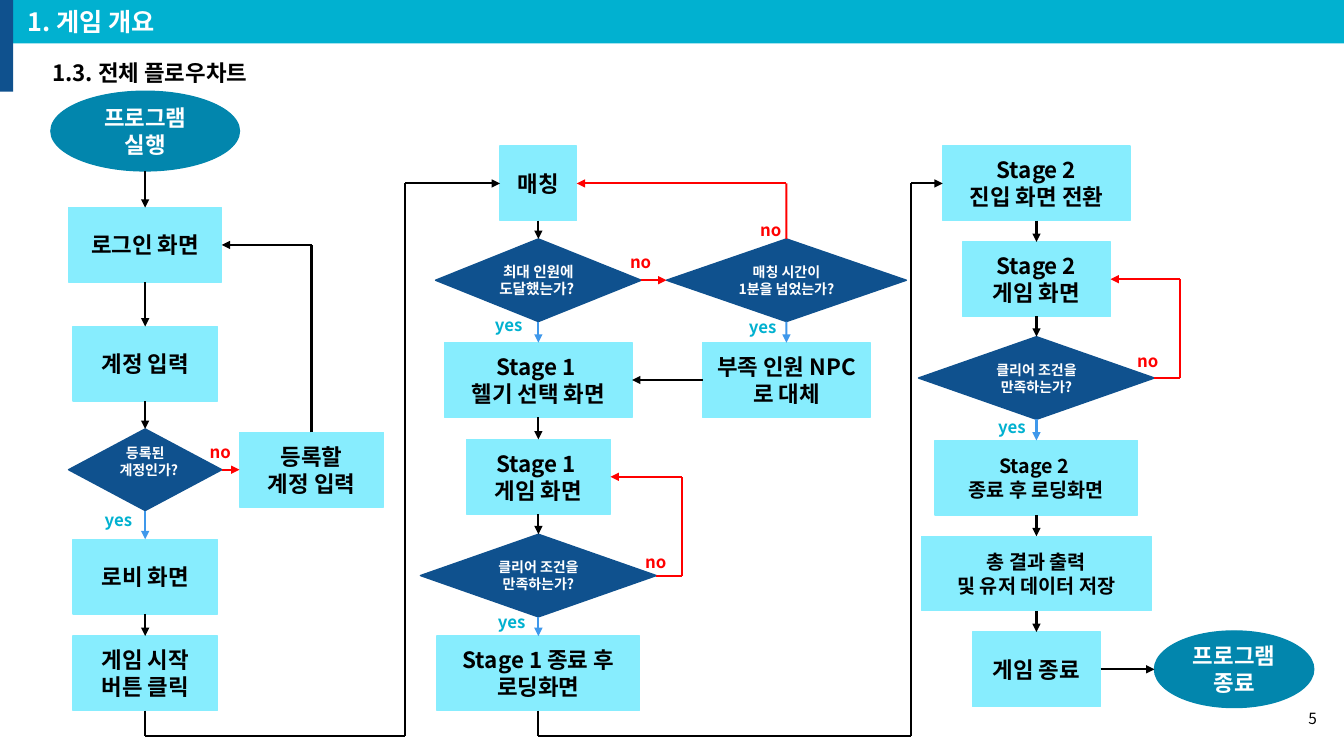
from lxml import etree
from pptx import Presentation
from pptx import util as u
from pptx.dml.color import RGBColor
from pptx.enum import shapes, text
from pptx.oxml import ns

FONT = "Noto Sans CJK KR"
NAVY = RGBColor(0x0F, 0x51, 0x8E)
CYAN = RGBColor(0x01, 0xB1, 0xD0)
TEAL = RGBColor(0x02, 0x86, 0xAD)
SKY = RGBColor(0x87, 0xED, 0xFE)
BLUE = RGBColor(0x3F, 0x98, 0xEB)
RED = RGBColor(0xFF, 0, 0)
BLACK = RGBColor(0, 0, 0)
WHITE = RGBColor(0xFF, 0xFF, 0xFF)

KINDS = {
    "step": (shapes.MSO_SHAPE.RECTANGLE, SKY, BLACK),
    "choice": (shapes.MSO_SHAPE.DIAMOND, NAVY, WHITE),
    "terminal": (shapes.MSO_SHAPE.OVAL, TEAL, WHITE),
}
ACCOUNT_X, SIGNUP_X, STAGE1_X, WAIT_X, STAGE2_X = 1.44, 3.09, 5.34, 7.8, 10.28

# name: kind, centre x, centre y, width, height, text size, lines
NODES = {
    "launch": ("terminal", ACCOUNT_X, 1.3, 1.87, 0.79, 16, ["프로그램 실행"]),
    "login": ("step", ACCOUNT_X, 2.43, 1.52, 0.74, 16, ["로그인 화면"]),
    "account": ("step", ACCOUNT_X, 3.61, 1.43, 0.74, 16, ["계정 입력"]),
    "known": ("choice", ACCOUNT_X, 4.66, 1.52, 0.81, 10, ["등록된 계정인가? "]),
    "signup": ("step", SIGNUP_X, 4.66, 1.43, 0.74, 16, ["등록할", "계정 입력"]),
    "lobby": ("step", ACCOUNT_X, 5.72, 1.43, 0.74, 16, ["로비 화면"]),
    "start": ("step", ACCOUNT_X, 6.68, 1.43, 0.74, 16, ["게임 시작", "버튼 클릭"]),
    "match": ("step", STAGE1_X, 1.82, 0.76, 0.74, 16, ["매칭"]),
    "full": ("choice", STAGE1_X, 2.78, 2.04, 0.82, 10.5, ["최대 인원에 도달했는가? "]),
    "late": ("choice", WAIT_X, 2.78, 2.38, 0.82, 10, ["매칭 시간이", "1분을 넘었는가?"]),
    "select": ("step", STAGE1_X, 3.77, 1.86, 0.74, 16, ["Stage 1 ", "헬기 선택 화면"]),
    "npc": ("step", WAIT_X, 3.77, 1.66, 0.74, 16, ["부족 인원 NPC로 대체"]),
    "play1": ("step", STAGE1_X, 4.73, 1.43, 0.74, 16, ["Stage 1 ", "게임 화면"]),
    "clear1": ("choice", STAGE1_X, 5.71, 2.34, 0.82, 10, ["클리어 조건을 만족하는가?"]),
    "load1": ("step", STAGE1_X, 6.68, 2.01, 0.74, 16, ["Stage 1 종료 후 로딩화면"]),
    "enter2": ("step", STAGE2_X, 1.82, 1.86, 0.74, 16, ["Stage 2", "진입 화면 전환"]),
    "play2": ("step", STAGE2_X, 2.77, 1.47, 0.74, 16, ["Stage 2", "게임 화면"]),
    "clear2": ("choice", STAGE2_X, 3.75, 2.34, 0.82, 10, ["클리어 조건을 만족하는가?"]),
    "load2": ("step", STAGE2_X, 4.74, 2.01, 0.74, 14, ["Stage 2 ", "종료 후 로딩화면"]),
    "result": ("step", STAGE2_X, 5.69, 2.28, 0.74, 14, ["총 결과 출력", "및 유저 데이터 저장"]),
    "end": ("step", STAGE2_X, 6.64, 1.27, 0.74, 16, ["게임 종료"]),
    "exit": ("terminal", 12.24, 6.64, 1.58, 0.76, 16, ["프로그램 종료"]),
}
TOP, LEFT, BOTTOM, RIGHT = range(4)
DOWNWARD = [
    ("launch", "login", BLACK), ("login", "account", BLACK), ("account", "known", BLACK),
    ("known", "lobby", BLUE), ("lobby", "start", BLACK), ("match", "full", BLACK),
    ("full", "select", BLUE), ("late", "npc", BLUE), ("select", "play1", BLACK),
    ("play1", "clear1", BLACK), ("clear1", "load1", BLUE), ("enter2", "play2", BLACK),
    ("play2", "clear2", BLACK), ("clear2", "load2", BLUE), ("load2", "result", BLACK),
    ("result", "end", BLACK),
]
ROUTES = [(a, BOTTOM, b, TOP, color, []) for a, b, color in DOWNWARD] + [
    ("known", RIGHT, "signup", LEFT, RED, []),
    ("full", RIGHT, "late", LEFT, RED, []),
    ("npc", LEFT, "select", RIGHT, BLACK, []),
    ("end", RIGHT, "exit", LEFT, BLACK, []),
    ("signup", TOP, "login", RIGHT, BLACK, [(SIGNUP_X, 2.43)]),
    ("late", TOP, "match", RIGHT, RED, [(WAIT_X, 1.82)]),
    ("clear1", RIGHT, "play1", RIGHT, RED, [(6.76, 5.71), (6.76, 4.73)]),
    ("clear2", RIGHT, "play2", RIGHT, RED, [(11.7, 3.75), (11.7, 2.77)]),
    ("start", BOTTOM, "match", LEFT, BLACK, [(ACCOUNT_X, 7.3), (4.02, 7.3), (4.02, 1.82)]),
    ("load1", BOTTOM, "enter2", LEFT, BLACK, [(STAGE1_X, 7.3), (9.04, 7.3), (9.04, 1.82)]),
]
ANSWERS = {
    "yes": (CYAN, [(0.94, 5.01), (4.81, 3.07), (4.84, 6.02), (7.33, 3.09), (9.8, 4.09)]),
    "no": (RED, [(1.98, 4.33), (6.15, 2.45), (7.44, 2.13), (6.3, 5.42), (11.18, 3.43)]),
}


def write(shape, lines, size, color, bold=True, align=text.PP_ALIGN.LEFT, **frame_format):
    frame = shape.text_frame
    settings = {"word_wrap": True, "auto_size": text.MSO_AUTO_SIZE.NONE,
                "vertical_anchor": text.MSO_ANCHOR.MIDDLE, **frame_format}
    for key, value in settings.items():
        setattr(frame, key, value)
    for index, line in enumerate(lines):
        para = frame.add_paragraph() if index else frame.paragraphs[0]
        para.alignment = align
        span = para.add_run()
        span.text = line
        for key, value in {"name": FONT, "size": u.Pt(size), "bold": bold}.items():
            setattr(span.font, key, value)
        span.font.color.rgb = color
        east = etree.SubElement(span.font._element, ns.qn("a:ea"))
        east.set("typeface", FONT)


def add_block(page, kind, area, fill):
    box = page.shapes.add_shape(kind, *map(u.Inches, area))
    box.shadow.inherit = False
    box.fill.solid()
    box.fill.fore_color.rgb = fill
    box.line.color.rgb = fill
    box.line.width = u.Pt(1)
    return box


def add_label(page, area, line, size, color, **settings):
    box = page.shapes.add_textbox(*map(u.Inches, area))
    write(box, [line], size, color, **settings)


def side_point(name, side):
    _, x, y, width, height, _, _ = NODES[name]
    across, down = {TOP: (0, -1), LEFT: (-1, 0), BOTTOM: (0, 1), RIGHT: (1, 0)}[side]
    return x + across * width / 2, y + down * height / 2


def add_route(page, boxes, source, source_side, target, target_side, color, corners):
    points = [side_point(source, source_side), *corners, side_point(target, target_side)]
    lines = []
    for begin, finish in zip(points, points[1:]):
        line = page.shapes.add_connector(
            shapes.MSO_CONNECTOR.STRAIGHT, *map(u.Inches, begin + finish))
        line.line.color.rgb = color
        line.line.width = u.Pt(1.5)
        etree.SubElement(line._element.spPr, ns.qn("a:effectLst"))
        lines.append(line)
    arrow = etree.SubElement(lines[-1].line._get_or_add_ln(), ns.qn("a:tailEnd"))
    arrow.set("type", "triangle")
    if NODES[source][0] != "terminal":
        lines[0].begin_connect(boxes[source], source_side)
    if NODES[target][0] != "terminal":
        lines[-1].end_connect(boxes[target], target_side)


def main():
    deck = Presentation()
    deck.slide_width, deck.slide_height = u.Inches(13.33), u.Inches(7.5)
    page = deck.slides.add_slide(deck.slide_layouts[5])

    title = page.shapes.title
    area = {"left": 0.13, "top": 0, "width": 13.2, "height": 0.43}
    for key, value in area.items():
        setattr(title, key, u.Inches(value))
    title.fill.solid()
    title.fill.fore_color.rgb = CYAN
    write(title, ["1. 게임 개요"], 18, WHITE, margin_left=u.Inches(0.14))

    accent = add_block(page, shapes.MSO_SHAPE.RECTANGLE, (0, 0, 0.13, 0.91), NAVY)
    accent.line.fill.background()
    add_label(page, (12.73, 6.93, 0.43, 0.4), "5", 11, BLACK,
              bold=False, align=text.PP_ALIGN.RIGHT)
    add_label(page, (0.42, 0.54, 2.82, 0.37), "1.3. 전체 플로우차트", 16, BLACK,
              vertical_anchor=text.MSO_ANCHOR.TOP)

    boxes = {}
    for name, (kind, x, y, width, height, size, lines) in NODES.items():
        preset, fill, color = KINDS[kind]
        area = (x - width / 2, y - height / 2, width, height)
        boxes[name] = add_block(page, preset, area, fill)
        inset = u.Inches(0.05 if name == "late" else 0.1)
        write(boxes[name], lines, size, color, align=text.PP_ALIGN.CENTER,
              margin_left=inset, margin_right=inset)

    for route in ROUTES:
        add_route(page, boxes, *route)
    for answer, (color, places) in ANSWERS.items():
        for place in places:
            add_label(page, (*place, 0.58, 0.3), answer, 12, color,
                      vertical_anchor=text.MSO_ANCHOR.TOP)

    deck.save("out.pptx")


if __name__ == "__main__":
    main()
